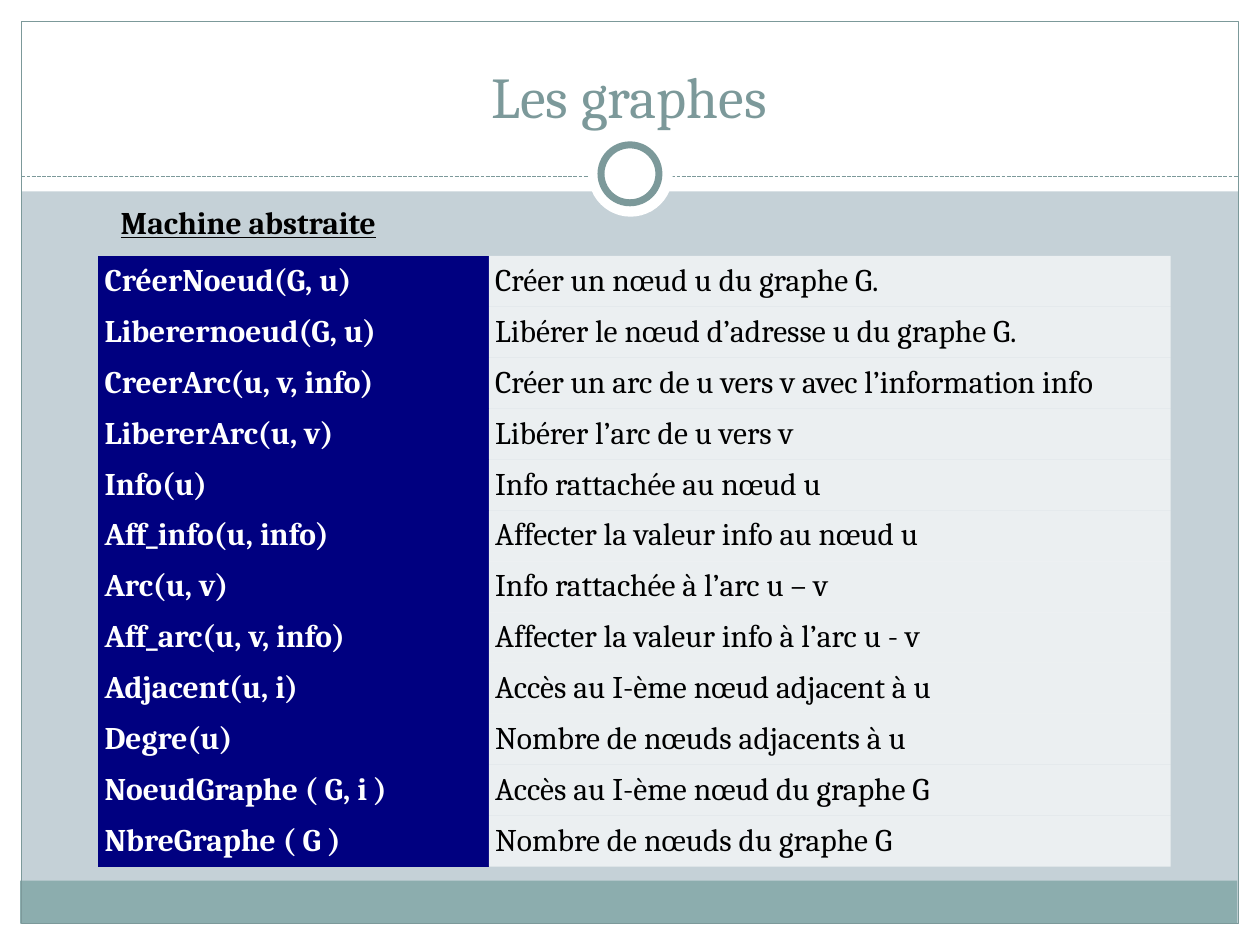
from dataclasses import dataclass
from typing import Optional

from pptx import Presentation
from pptx.dml.color import RGBColor
from pptx.enum.dml import MSO_LINE
from pptx.enum.shapes import MSO_CONNECTOR, MSO_SHAPE
from pptx.enum.text import MSO_ANCHOR, PP_ALIGN
from pptx.oxml.ns import qn
from pptx.slide import Slide
from pptx.util import Inches, Pt
from lxml.etree import SubElement

COLORS = {
    "background": "C5D1D7",
    "white": "FFFFFF",
    "black": "000000",
    "accent": "7C999A",
    "footer": "8CADAE",
    "navy": "000080",
}
FONT = "Cambria"
NO_STYLE = "{2D5ABB26-0587-4C30-8999-92F81FD0307C}"
ROW_HEIGHT = 4.85 / 12
COLUMN_WIDTHS = (3.1, 5.41)


@dataclass(frozen=True)
class Panel:
    """A plain shape of the slide frame."""
    left: float
    top: float
    width: float
    height: float
    fill: Optional[str] = "white"
    line_width: float = 0
    kind: MSO_SHAPE = MSO_SHAPE.RECTANGLE


@dataclass(frozen=True)
class Operation:
    """One operation of the abstract machine."""
    signature: str
    meaning: str


PANELS = [
    Panel(0, 7.33, 10, 0.17),
    Panel(0, 0, 10, 1.52),
    Panel(0, 0, 0.17, 7.5),
    Panel(9.83, 0, 0.17, 7.5),
    Panel(0.16, 6.99, 9.66, 0.34, "footer"),
    Panel(0.17, 0.17, 9.66, 7.16, None, 0.75),
]
RINGS = [
    Panel(4.67, 1.05, 0.67, 0.67, kind=MSO_SHAPE.OVAL),
    Panel(4.77, 1.15, 0.46, 0.46, line_width=4, kind=MSO_SHAPE.OVAL),
]
OPERATIONS = [
    Operation("CréerNoeud(G, u) ", "Créer un nœud u du graphe G."),
    Operation("Liberernoeud(G, u)", "Libérer le nœud d’adresse u du graphe G."),
    Operation("CreerArc(u, v, info)", "Créer un arc de u vers v avec l’information info"),
    Operation("LibererArc(u, v)", "Libérer l’arc de u vers v"),
    Operation("Info(u)", "Info rattachée au nœud u"),
    Operation("Aff_info(u, info)", "Affecter la valeur info au nœud u"),
    Operation("Arc(u, v)", "Info rattachée à l’arc u – v"),
    Operation("Aff_arc(u, v, info)", "Affecter la valeur info à l’arc u - v"),
    Operation("Adjacent(u, i)", "Accès au I-ème nœud adjacent à u"),
    Operation("Degre(u)", "Nombre de nœuds adjacents à u"),
    Operation("NoeudGraphe ( G, i )", "Accès au I-ème nœud du graphe G"),
    Operation("NbreGraphe ( G )", "Nombre de nœuds du graphe G"),
]


def color(name: str) -> RGBColor:
    """Look up a named colour."""
    return RGBColor.from_string(COLORS[name])


def add_panel(slide: Slide, panel: Panel) -> None:
    """Draw one frame shape."""
    shape = slide.shapes.add_shape(
        panel.kind, Inches(panel.left), Inches(panel.top),
        Inches(panel.width), Inches(panel.height))
    shape.shadow.inherit = False
    if panel.fill:
        shape.fill.solid()
        shape.fill.fore_color.rgb = color(panel.fill)
    else:
        shape.fill.background()
    if panel.line_width:
        shape.line.color.rgb = color("accent")
        shape.line.width = Pt(panel.line_width)
    else:
        shape.line.fill.background()


def add_divider(slide: Slide) -> None:
    """Draw the dashed line under the title."""
    line = slide.shapes.add_connector(
        MSO_CONNECTOR.STRAIGHT, Inches(0.17), Inches(1.4), Inches(9.83), Inches(1.4))
    line.line.color.rgb = color("accent")
    line.line.width = Pt(0.75)
    line.line.dash_style = MSO_LINE.SQUARE_DOT
    SubElement(line.element.spPr, qn("a:effectLst"))


def add_run(paragraph, text: str, size: float, color_name: str, bold: bool = False):
    """Append a formatted run and return it."""
    run = paragraph.add_run()
    run.text = text
    run.font.name = FONT
    run.font.size = Pt(size)
    run.font.bold = bold
    run.font.color.rgb = color(color_name)
    return run


def add_text_box(slide: Slide, left: float, top: float, width: float, height: float):
    """Add a wrapping text box and return its text frame."""
    box = slide.shapes.add_textbox(
        Inches(left), Inches(top), Inches(width), Inches(height))
    box.text_frame.word_wrap = True
    return box.text_frame


def fill_cell(cell, text: str, fill: str, text_color: str,
              bold: bool = False, opacity: int = 100) -> None:
    """Set the text and fill of a table cell."""
    cell.margin_left = cell.margin_right = Inches(0.05)
    cell.margin_top = cell.margin_bottom = Inches(0.05)
    cell.vertical_anchor = MSO_ANCHOR.MIDDLE
    add_run(cell.text_frame.paragraphs[0], text, 18, text_color, bold)
    cell.fill.solid()
    cell.fill.fore_color.rgb = color(fill)
    if opacity < 100:
        for node in cell.fill._xPr.iter(qn("a:srgbClr")):
            SubElement(node, qn("a:alpha")).set("val", str(opacity * 1000))


def add_operations(slide: Slide) -> None:
    """Add the table of operations."""
    frame = slide.shapes.add_table(
        len(OPERATIONS), 2, Inches(0.78), Inches(2.03),
        Inches(sum(COLUMN_WIDTHS)), Inches(ROW_HEIGHT * len(OPERATIONS)))
    table = frame.table
    table.first_row = table.horz_banding = False
    for style in frame.element.iter(qn("a:tableStyleId")):
        style.text = NO_STYLE
    for column, width in zip(table.columns, COLUMN_WIDTHS):
        column.width = Inches(width)
    for row, operation in zip(table.rows, OPERATIONS):
        row.height = Inches(ROW_HEIGHT)
        fill_cell(row.cells[0], operation.signature, "navy", "white", bold=True)
        fill_cell(row.cells[1], operation.meaning, "white", "black", opacity=67)


def main() -> None:
    """Build and save the presentation."""
    presentation = Presentation()
    presentation.slide_width = Inches(10)
    presentation.slide_height = Inches(7.5)
    slide = presentation.slides.add_slide(presentation.slide_layouts[6])
    slide.background.fill.solid()
    slide.background.fill.fore_color.rgb = color("background")

    for panel in PANELS:
        add_panel(slide, panel)
    add_divider(slide)
    for ring in RINGS:
        add_panel(slide, ring)

    title = add_text_box(slide, 0.33, 0.25, 9.33, 0.83)
    title.vertical_anchor = MSO_ANCHOR.BOTTOM
    title.paragraphs[0].alignment = PP_ALIGN.CENTER
    add_run(title.paragraphs[0], "Les graphes", 33, "accent")

    heading = add_text_box(slide, 0.86, 1.56, 6.72, 0.4)
    add_run(heading.paragraphs[0], "Machine abstraite", 18, "black", True).font.underline = True

    add_operations(slide)
    presentation.save("out.pptx")


main()
